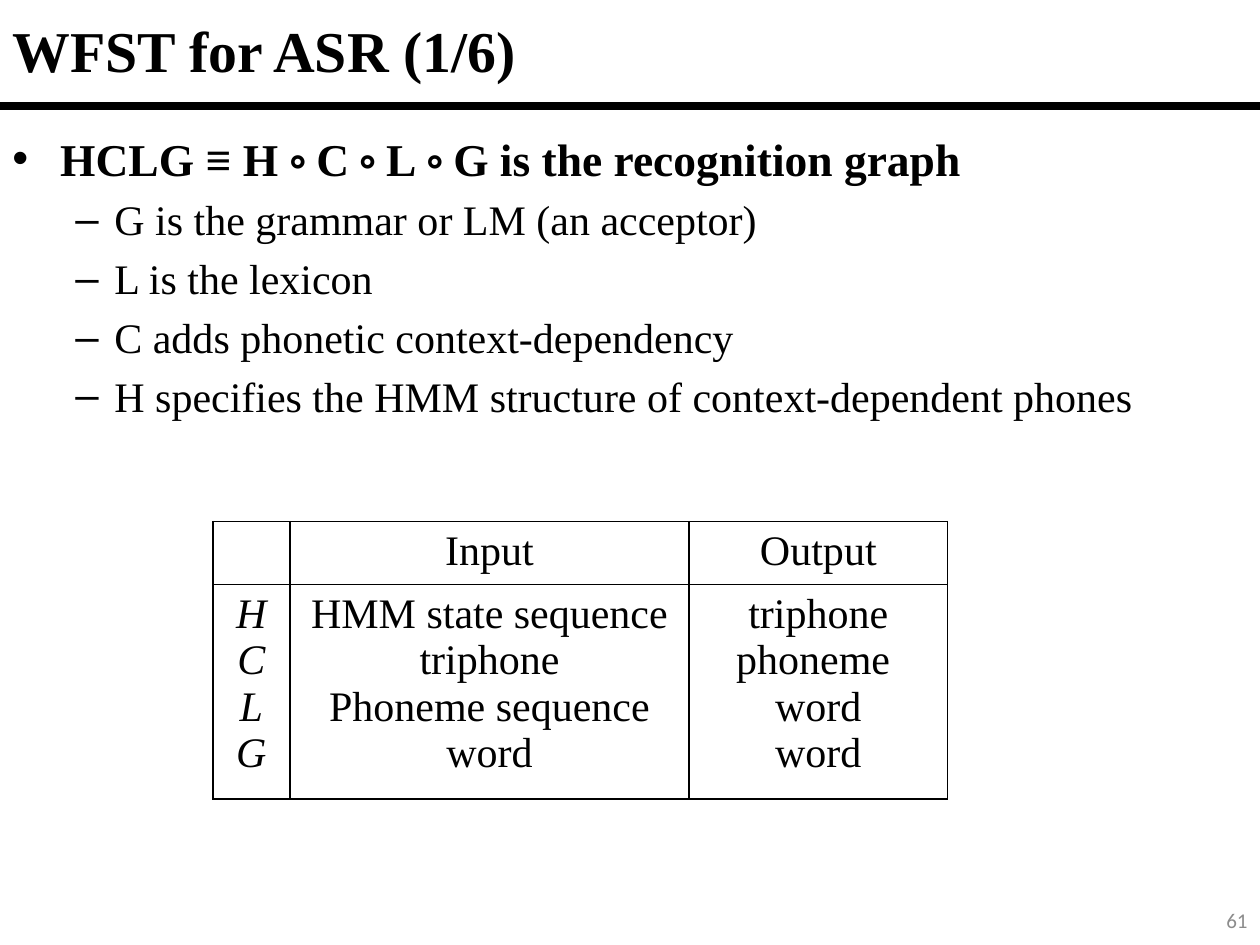
from lxml import etree
from pptx import Presentation
from pptx.dml.color import RGBColor
from pptx.enum.shapes import MSO_CONNECTOR as Connector
from pptx.enum.text import MSO_ANCHOR as Anchor, PP_ALIGN as Align
from pptx.oxml.ns import qn
from pptx.util import Inches, Pt

WIDTH, HEIGHT = 10, 7.5
SERIF, SANS = "Times New Roman", "Calibri"
BLACK, GRAY = "000000", "8C8C8C"

# Bullet levels: character, left margin, hanging indent, size, bold
LEVELS = [("•", 0.38, -0.38, 26, True), ("–", 0.81, -0.31, 24, False)]
BULLETS = [
    (0, ["HCLG ≡ H ", "◦ ", "C", " ◦ ", "L", " ◦ ", "G is the recognition graph"]),
    (1, ["G is the grammar or LM (an acceptor)"]),
    (1, ["L is the lexicon"]),
    (1, ["C adds phonetic context-dependency"]),
    (1, ["H specifies the HMM structure of context-dependent phones"]),
]
TABLE_COLUMNS = [0.61, 3.17, 2.05]
TABLE_ROWS = [0.5, 1.7]
TABLE_TEXT = [
    ["", "Input", "Output"],
    ["H\nC\nL\nG",
     "HMM state sequence\ntriphone\nPhoneme sequence\nword",
     "triphone\nphoneme \nword\nword"],
]


def color(value):
    return RGBColor.from_string(value)


def style(font, size, name=SERIF, fill=BLACK, bold=False, italic=False):
    font.size, font.name, font.bold, font.italic = Pt(size), name, bold, italic
    font.color.rgb = color(fill)


def add_text_frame(slide, box, anchor=Anchor.TOP):
    frame = slide.shapes.add_textbox(*map(Inches, box)).text_frame
    frame.word_wrap = True
    frame.vertical_anchor = anchor
    return frame


def add_label(slide, box, text, align, **font):
    frame = add_text_frame(slide, box, Anchor.MIDDLE)
    frame.text = text
    paragraph = frame.paragraphs[0]
    paragraph.alignment = align
    style(paragraph.runs[0].font, **font)


def add_rule(slide, top):
    rule = slide.shapes.add_connector(
        Connector.STRAIGHT, 0, Inches(top), Inches(WIDTH), Inches(top))
    rule.line.width = Pt(4.5)
    rule.line.color.rgb = color(BLACK)
    etree.SubElement(rule._element.spPr, qn("a:effectLst"))


def add_bullets(slide, box):
    frame = add_text_frame(slide, box)
    for index, (level, pieces) in enumerate(BULLETS):
        paragraph = frame.add_paragraph() if index else frame.paragraphs[0]
        character, margin, indent, size, bold = LEVELS[level]
        paragraph.level = level
        if index:
            paragraph.space_before = Pt(size * 0.2)
        properties = paragraph._p.get_or_add_pPr()
        properties.set("marL", str(Inches(margin)))
        properties.set("indent", str(Inches(indent)))
        etree.SubElement(properties, qn("a:buFont"), typeface="Arial")
        etree.SubElement(properties, qn("a:buChar"), char=character)
        for piece in pieces:
            run = paragraph.add_run()
            run.text = piece
            style(run.font, size, SANS if "◦" in piece else SERIF, bold=bold)


def add_borders(cell):
    properties = cell._tc.get_or_add_tcPr()
    for position, side in enumerate(("lnL", "lnR", "lnT", "lnB")):
        line = etree.Element(qn(f"a:{side}"), w=str(Pt(1)))
        fill = etree.SubElement(line, qn("a:solidFill"))
        etree.SubElement(fill, qn("a:srgbClr"), val=BLACK)
        properties.insert(position, line)


def add_mapping_table(slide, left, top):
    table = slide.shapes.add_table(
        len(TABLE_ROWS), len(TABLE_COLUMNS), Inches(left), Inches(top),
        Inches(sum(TABLE_COLUMNS)), Inches(sum(TABLE_ROWS))).table
    table.first_row = table.horz_banding = False
    for column, width in zip(table.columns, TABLE_COLUMNS):
        column.width = Inches(width)
    for row, height, texts in zip(table.rows, TABLE_ROWS, TABLE_TEXT):
        row.height = Inches(height)
        for cell, text in zip(row.cells, texts):
            cell.text = text
            cell.fill.background()
            add_borders(cell)
            for paragraph in cell.text_frame.paragraphs:
                paragraph.alignment = Align.CENTER
                # Transducer names are the one-letter entries
                style(paragraph.font, 24)
                for run in paragraph.runs:
                    style(run.font, 24, italic=len(text.split("\n")[0]) == 1)


def main():
    presentation = Presentation()
    presentation.slide_width = Inches(WIDTH)
    presentation.slide_height = Inches(HEIGHT)
    slide = presentation.slides.add_slide(presentation.slide_layouts[6])

    # Header
    add_label(slide, (0, 0, WIDTH, 0.79), "WFST for ASR (1/6)", Align.LEFT,
              size=33, bold=True)
    add_rule(slide, 0.84)
    # Body
    add_bullets(slide, (0, 0.99, WIDTH, 2.48))
    add_mapping_table(slide, 1.69, 4.14)
    # Page number
    add_label(slide, (WIDTH - 2.25, HEIGHT - 0.4, 2.25, 0.4), "61", Align.RIGHT,
              size=12, name=SANS, fill=GRAY)

    presentation.save("out.pptx")


if __name__ == "__main__":
    main()
